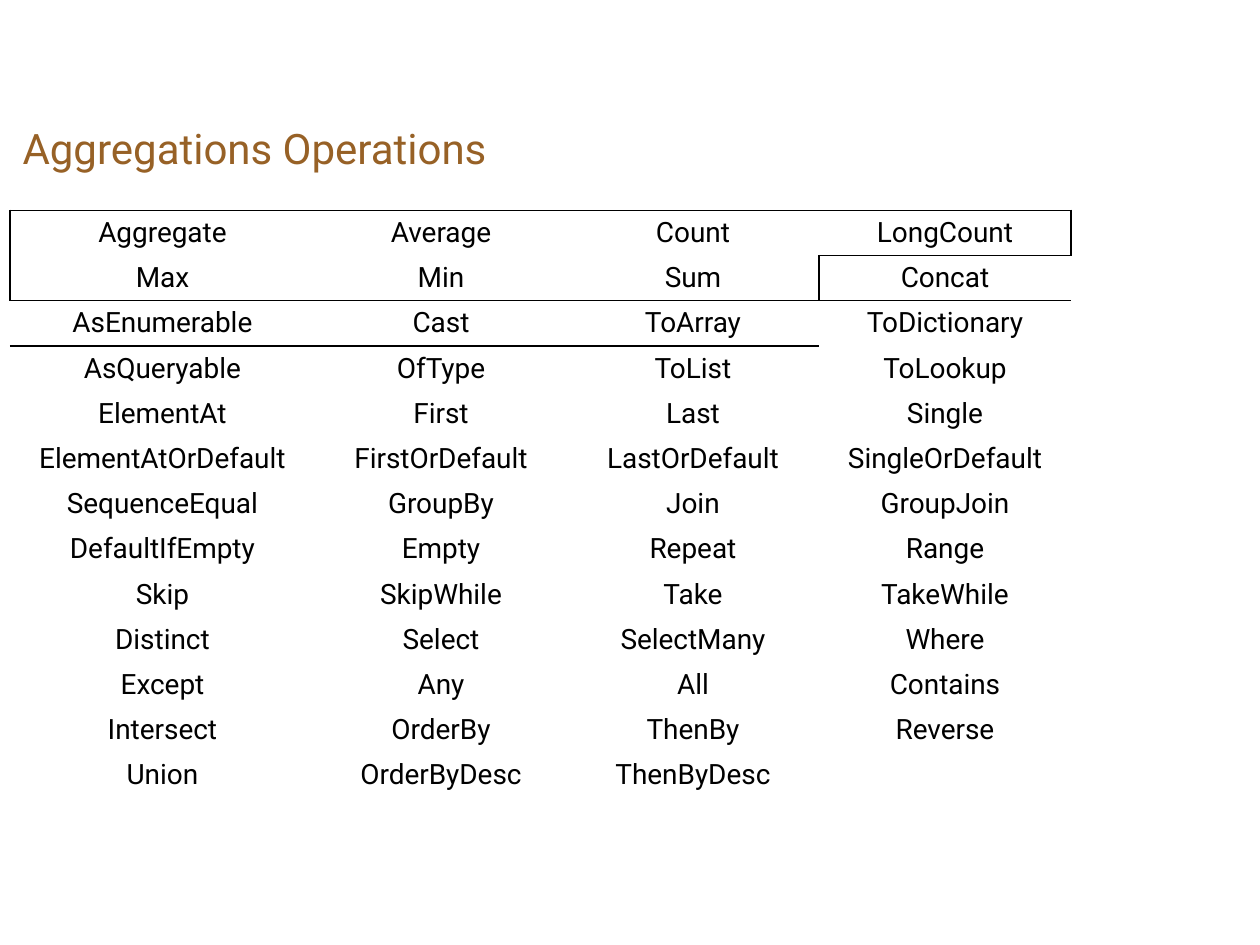
"""Build a slide listing LINQ operators with the aggregations outlined."""
from lxml.etree import SubElement
from pptx import Presentation
from pptx.dml.color import RGBColor
from pptx.enum.text import MSO_ANCHOR, PP_ALIGN
from pptx.oxml.ns import qn
from pptx.util import Cm, Pt

BROWN = RGBColor(0x97, 0x61, 0x26)
BLACK = RGBColor(0, 0, 0)
FONT = "Roboto"
NO_STYLE = "{2D5ABB26-0587-4C30-8999-92F81FD0307C}"
ROWS = [
    ["Aggregate", "Average", "Count", "LongCount"],
    ["Max", "Min", "Sum", "Concat"],
    ["AsEnumerable", "Cast", "ToArray", "ToDictionary"],
    ["AsQueryable", "OfType", "ToList", "ToLookup"],
    ["ElementAt", "First", "Last", "Single"],
    ["ElementAtOrDefault", "FirstOrDefault", "LastOrDefault", "SingleOrDefault"],
    ["SequenceEqual", "GroupBy", "Join", "GroupJoin"],
    ["DefaultIfEmpty", "Empty", "Repeat", "Range"],
    ["Skip", "SkipWhile", "Take", "TakeWhile"],
    ["Distinct", "Select", "SelectMany", "Where"],
    ["Except", "Any", "All", "Contains"],
    ["Intersect", "OrderBy", "ThenBy", "Reverse"],
    ["Union", "OrderByDesc", "ThenByDesc", ""],
]
AGGREGATIONS = {(i // 4, i % 4) for i in range(7)}
SIDES = {"a:lnL": (0, -1), "a:lnR": (0, 1), "a:lnT": (-1, 0), "a:lnB": (1, 0)}


def format_text(p, size, color):
    for r in p.runs:
        r.font.name = FONT
        r.font.size = Pt(size)
        r.font.color.rgb = color


def add_border(cell, side):
    ln = SubElement(cell._tc.get_or_add_tcPr(), qn(side), w=str(Pt(1)))
    fill = SubElement(ln, qn("a:solidFill"))
    SubElement(fill, qn("a:srgbClr"), val=str(BLACK))


prs = Presentation()
prs.slide_width, prs.slide_height = Cm(25.4), Cm(19.05)
s = prs.slides.add_slide(prs.slide_layouts[5])

title = s.shapes.title
title.left, title.top, title.width, title.height = Cm(0.2), Cm(2.34), Cm(24.13), Cm(1.7)
tf = title.text_frame
tf.text = "Aggregations Operations"
tf.vertical_anchor = MSO_ANCHOR.TOP
p = tf.paragraphs[0]
p.alignment = PP_ALIGN.LEFT
format_text(p, 24, BROWN)

frame = s.shapes.add_table(len(ROWS), 4, Cm(0.2), Cm(4.24), Cm(21.39), Cm(12.12))
table = frame.table
table.first_row = table.horz_banding = False
table._tbl.tblPr.find(qn("a:tableStyleId")).text = NO_STYLE
for column, width in zip(table.columns, (6.15, 5.08, 5.08, 5.08)):
    column.width = Cm(width)
for row in table.rows:
    row.height = Cm(0.66)
frame.height = Cm(12.12)

for i, names in enumerate(ROWS):
    for j, name in enumerate(names):
        cell = table.cell(i, j)
        p = cell.text_frame.paragraphs[0]
        p.text = name
        p.alignment = PP_ALIGN.CENTER
        format_text(p, 16, BLACK)
        for side, (di, dj) in SIDES.items():
            if ((i, j) in AGGREGATIONS) != ((i + di, j + dj) in AGGREGATIONS):
                add_border(cell, side)
        cell.fill.background()

prs.save("out.pptx")
